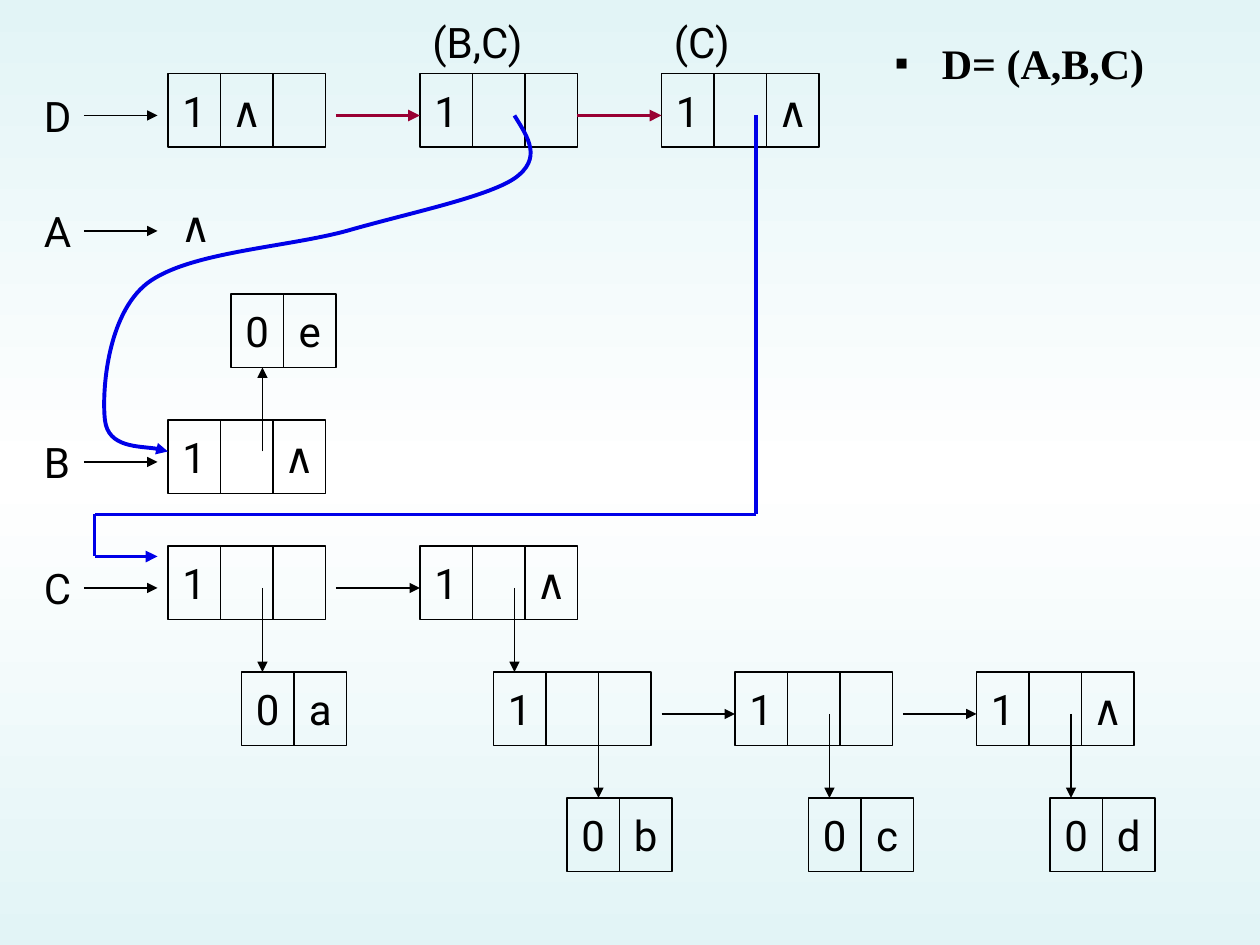
from copy import deepcopy
from dataclasses import dataclass

from lxml import etree
from pptx import Presentation
from pptx import util as u
from pptx.dml.color import RGBColor
from pptx.enum import shapes, text
from pptx.oxml.ns import qn

SCALE = 7620
CELL_WIDTH, CELL_HEIGHT = 50, 70
BLACK = RGBColor(0, 0, 0)
BLUE = RGBColor(0x00, 0x00, 0xE8)
CRIMSON = RGBColor(0x99, 0x00, 0x33)
PALE_CYAN = RGBColor(0xE2, 0xF4, 0xF6)
WHITE = RGBColor(0xFF, 0xFF, 0xFF)
FONT = "Roboto"


@dataclass(frozen=True)
class Node:
    left: int
    top: int
    fields: tuple[str, ...]


@dataclass(frozen=True)
class Label:
    words: str
    left: int
    top: int
    width: int = 50


@dataclass(frozen=True)
class Arrow:
    start: tuple[int, int]
    end: tuple[int, int]
    color: RGBColor = BLACK
    weight: float = 0.75
    pointed: bool = True


NODES = [
    Node(160, 70, ("1", "∧", "")),
    Node(400, 70, ("1", "", "")),
    Node(630, 70, ("1", "", "∧")),
    Node(220, 280, ("0", "e")),
    Node(160, 400, ("1", "", "∧")),
    Node(160, 520, ("1", "", "")),
    Node(400, 520, ("1", "", "∧")),
    Node(230, 640, ("0", "a")),
    Node(470, 640, ("1", "", "")),
    Node(700, 640, ("1", "", "")),
    Node(930, 640, ("1", "", "∧")),
    Node(540, 760, ("0", "b")),
    Node(770, 760, ("0", "c")),
    Node(1000, 760, ("0", "d")),
]
LIST_ROWS = {"D": 110, "A": 220, "B": 440, "C": 560}
LABELS = [Label(name, 30, y - 30) for name, y in LIST_ROWS.items()] + [
    Label("(B,C)", 400, 10, 130),
    Label("(C)", 630, 10, 130),
]
ARROWS = [Arrow((80, y), (150, y)) for y in LIST_ROWS.values()] + [
    Arrow((320, 110), (400, 110), CRIMSON, 2.25),
    Arrow((550, 110), (630, 110), CRIMSON, 2.25),
    Arrow((250, 430), (250, 350)),
    Arrow((250, 560), (250, 640)),
    Arrow((320, 560), (400, 560)),
    Arrow((490, 560), (490, 640)),
    Arrow((570, 680), (570, 760)),
    Arrow((630, 680), (700, 680)),
    Arrow((790, 680), (790, 760)),
    Arrow((860, 680), (930, 680)),
    Arrow((1020, 680), (1020, 760)),
]
C_ROUTE = [(720, 110), (720, 490), (90, 490), (90, 530), (150, 530)]
B_CURVE = [
    (490, 110),
    (503, 131), (517, 151), (490, 170),
    (463, 188), (389, 203), (330, 220),
    (271, 236), (179, 240), (140, 270),
    (102, 300), (97, 373), (100, 400),
    (103, 427), (150, 425), (160, 430),
]


def px(*lengths: int) -> list[int]:
    return [length * SCALE for length in lengths]


def paint_background(page) -> None:
    fill = page.background.fill
    fill.gradient()
    fill.gradient_angle = 90
    stop_list = page.element.find(".//" + qn("a:gsLst"))
    stop_list.insert(1, deepcopy(stop_list[0]))
    for stop, position, color in zip(
        fill.gradient_stops, (0, 0.5, 1), (PALE_CYAN, WHITE, PALE_CYAN)
    ):
        stop.position = position
        stop.color.rgb = color


def write(box, words: str, font: str = FONT):
    para = box.text_frame.paragraphs[0]
    para.text = words
    para.font.name = font
    para.font.size = u.Pt(24)
    para.font.color.rgb = BLACK
    return para


def center(box, words: str) -> None:
    frame = box.text_frame
    frame.word_wrap = False
    frame.vertical_anchor = text.MSO_ANCHOR.MIDDLE
    write(box, words).alignment = text.PP_ALIGN.CENTER


def style_line(line, color: RGBColor, weight: float, pointed: bool = False) -> None:
    line.color.rgb = color
    line.width = u.Pt(weight)
    if pointed:
        outline = line.fill._xPr
        etree.SubElement(outline, qn("a:tailEnd"), type="triangle")


def draw_node(page, node: Node, sites: dict) -> None:
    for column, words in enumerate(node.fields):
        left = node.left + column * CELL_WIDTH
        cell = page.shapes.add_shape(
            shapes.MSO_SHAPE.RECTANGLE, *px(left, node.top, CELL_WIDTH, CELL_HEIGHT)
        )
        cell.shadow.inherit = False
        cell.fill.background()
        style_line(cell.line, BLACK, 0.75)
        if words:
            center(cell, words)
        middle = left + CELL_WIDTH // 2
        sites[middle, node.top] = (cell, 0)
        sites[middle, node.top + CELL_HEIGHT] = (cell, 2)


def draw_label(page, label: Label) -> None:
    box = page.shapes.add_textbox(*px(label.left, label.top, label.width, 60))
    box.text_frame.word_wrap = True
    write(box, label.words)


def draw_arrow(page, arrow: Arrow, sites: dict) -> None:
    connector = page.shapes.add_connector(
        shapes.MSO_CONNECTOR.STRAIGHT, *px(*arrow.start, *arrow.end)
    )
    style_line(connector.line, arrow.color, arrow.weight, arrow.pointed)
    etree.SubElement(connector.element.spPr, qn("a:effectLst"))
    if arrow.end in sites:
        connector.end_connect(*sites[arrow.end])


def draw_curve(page, points: list[tuple[int, int]]) -> None:
    builder = page.shapes.build_freeform(*points[0], scale=SCALE)
    builder.add_line_segments(points[1:], close=False)
    curve = builder.convert_to_shape()
    curve.shadow.inherit = False
    curve.fill.background()
    style_line(curve.line, BLUE, 2.25, pointed=True)
    outline = curve.element.find(".//" + qn("a:path"))
    segments = outline.findall(qn("a:lnTo"))
    for first in range(0, len(segments), 3):
        bezier = etree.SubElement(outline, qn("a:cubicBezTo"))
        for segment in segments[first:first + 3]:
            bezier.append(segment[0])
            outline.remove(segment)


def write_definition(box) -> None:
    box.left, box.top, box.width, box.height = px(840, 30, 340, 90)
    para = box.text_frame.paragraphs[0]
    properties = para._p.get_or_add_pPr()
    properties.set("marL", "342900")
    properties.set("indent", "-342900")
    bullet_color = etree.SubElement(properties, qn("a:buClr"))
    etree.SubElement(bullet_color, qn("a:srgbClr"), val=str(BLACK))
    etree.SubElement(properties, qn("a:buSzPct"), val="95000")
    etree.SubElement(properties, qn("a:buChar"), char="▪")
    para = write(box, "D= (A,B,C)", "Times New Roman")
    para.font.bold = True
    para.space_before = u.Pt(0)


def main() -> None:
    deck = Presentation()
    deck.slide_width, deck.slide_height = px(1200, 900)
    page = deck.slides.add_slide(deck.slide_layouts[1])
    paint_background(page)
    title = page.shapes.title.element
    title.getparent().remove(title)
    write_definition(page.placeholders[1])

    sites = {}
    for node in NODES:
        draw_node(page, node, sites)
    for label in LABELS:
        draw_label(page, label)
    empty_list = page.shapes.add_textbox(*px(160, 180, CELL_WIDTH + 10, CELL_HEIGHT))
    empty_list.width = CELL_WIDTH * SCALE
    center(empty_list, "∧")
    for arrow in ARROWS:
        draw_arrow(page, arrow, sites)
    draw_curve(page, B_CURVE)
    for start, end in zip(C_ROUTE, C_ROUTE[1:]):
        draw_arrow(page, Arrow(start, end, BLUE, 2.25, end == C_ROUTE[-1]), sites)
    deck.save("out.pptx")


if __name__ == "__main__":
    main()
